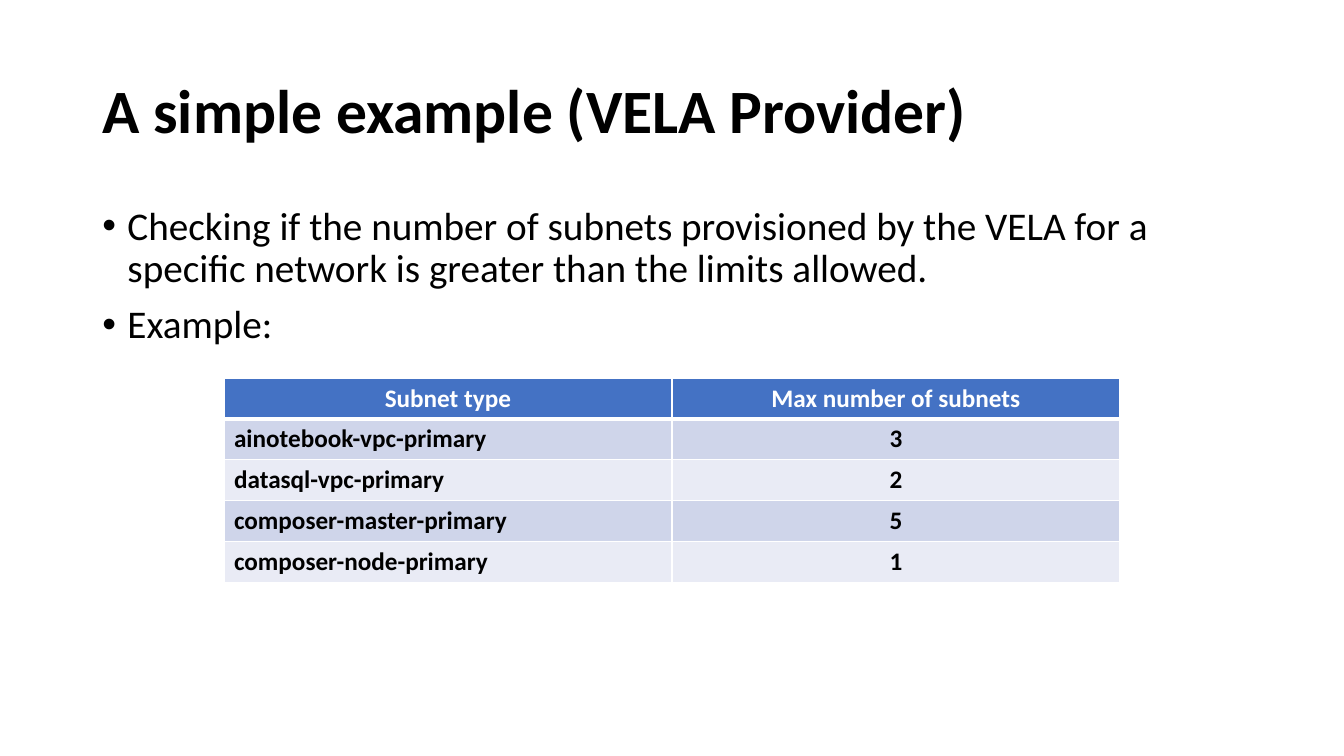
from pptx import Presentation
from pptx.dml.color import RGBColor
from pptx.enum import text as t
from pptx.oxml import parse_xml
from pptx.oxml.ns import nsdecls
from pptx.util import Pt

# Content
TITLE = "A simple example (VELA Provider)"
POINTS = [
    "Checking if the number of subnets provisioned by the VELA for a "
    "specific network is greater than the limits allowed.",
    "Example:",
]
ROWS = [
    ("Subnet type", "Max number of subnets"),
    ("ainotebook-vpc-primary", "3"),
    ("datasql-vpc-primary", "2"),
    ("composer-master-primary", "5"),
    ("composer-node-primary", "1"),
]
BLACK, WHITE, HEAD = "000000", "FFFFFF", "4472C4"
BANDS = ("E9EBF5", "CFD5EA")
LEFT, WIDTH = 66, 828
ROW_H = 29.2


def color(hex_code):
    return RGBColor.from_string(hex_code)


def style(par, size, tint=BLACK, bold=False):
    font = par.font
    font.name, font.size, font.bold = "Calibri", Pt(size), bold
    font.color.rgb = color(tint)


def add_text(top, height, lines, size, bold=False):
    box = slide.shapes.add_textbox(Pt(LEFT), Pt(top), Pt(WIDTH), Pt(height))
    frame = box.text_frame
    frame.word_wrap = True
    frame.text = "\n".join(lines)
    for par in frame.paragraphs:
        par.line_spacing = 0.9
        style(par, size, bold=bold)
    return frame


def add_bullet(par):
    props = par._p.get_or_add_pPr()
    props.set("marL", str(Pt(18)))
    props.set("indent", str(Pt(-18)))
    mark = parse_xml(f'<a:buChar {nsdecls("a")} char="•"/>')
    font = parse_xml(f'<a:buFont {nsdecls("a")} typeface="Arial"/>')
    spot = list(props).index(props.find(".//{*}spcBef")) + 1
    props.insert(spot, font)
    props.insert(spot + 1, mark)


def add_edges(cell, top, bottom):
    props = cell._tc.get_or_add_tcPr()
    sides = {"L": 1, "R": 1, "T": top, "B": bottom}
    for spot, (side, width) in enumerate(sides.items()):
        props.insert(spot, parse_xml(
            f'<a:ln{side} {nsdecls("a")} w="{Pt(width)}"><a:solidFill>'
            f'<a:srgbClr val="{WHITE}"/></a:solidFill></a:ln{side}>'))


# Slide
deck = Presentation()
deck.slide_width, deck.slide_height = Pt(960), Pt(540)
slide = deck.slides.add_slide(deck.slide_layouts[6])

# Title and bullets
title = add_text(28.75, 104.4, [TITLE], 44, bold=True)
title.vertical_anchor = t.MSO_ANCHOR.MIDDLE
body = add_text(143.75, 342.6, POINTS, 28)
for par in body.paragraphs:
    par.space_before = Pt(10)
    add_bullet(par)

# Table of limits
table = slide.shapes.add_table(
    len(ROWS), 2, Pt(160), Pt(270), Pt(640), Pt(ROW_H * len(ROWS))).table
for r, row in enumerate(ROWS):
    table.rows[r].height = Pt(ROW_H)
    for c, word in enumerate(row):
        cell = table.cell(r, c)
        cell.text = word
        cell.fill.solid()
        cell.fill.fore_color.rgb = color(BANDS[r % 2] if r else HEAD)
        add_edges(cell, 3 if r == 1 else 1, 1 if r else 3)
        par = cell.text_frame.paragraphs[0]
        style(par, 18, BLACK if r else WHITE, bold=True)
        if r == 0 or c == 1:
            par.alignment = t.PP_ALIGN.CENTER

deck.save("out.pptx")
